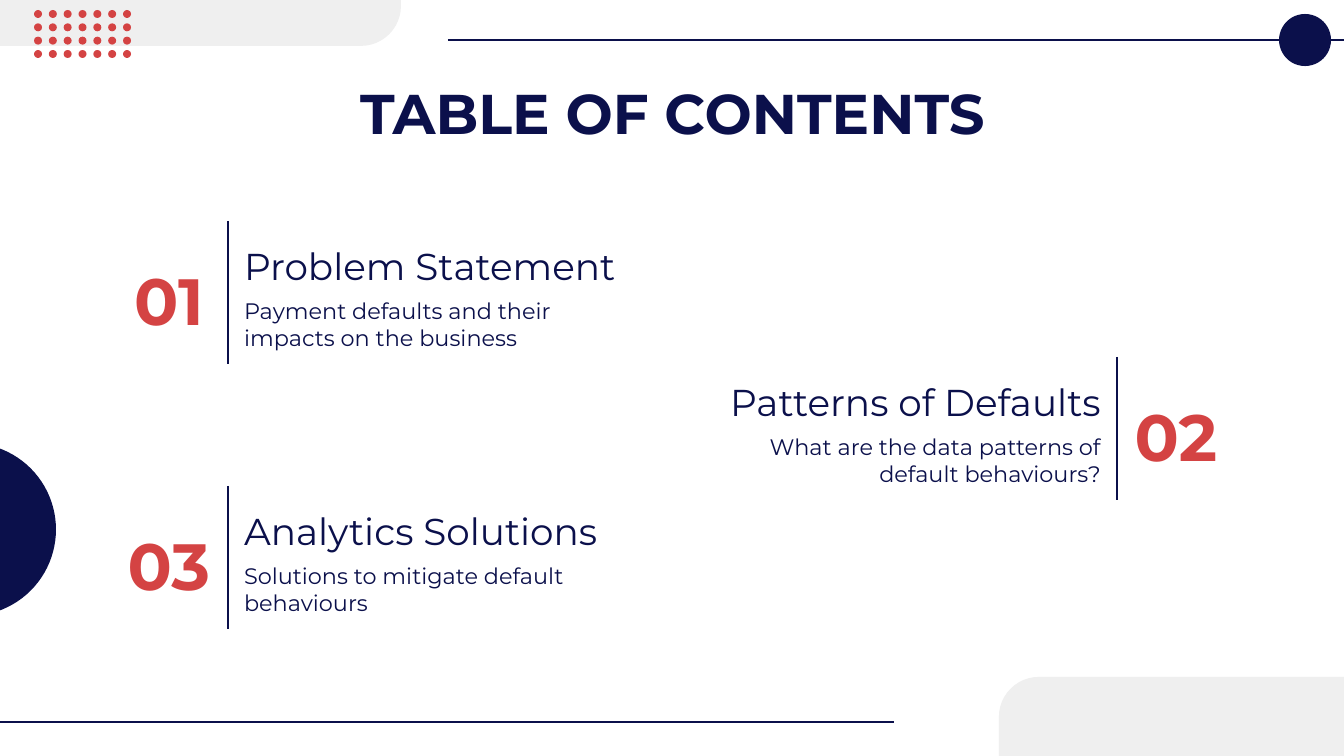
from lxml import etree
from pptx import Presentation
from pptx import util as u
from pptx.dml import color
from pptx.enum import shapes, text
from pptx.oxml import ns

PX = 9144000 / 1344
WIDTH, HEIGHT = 1344, 756
INSET = 13
COLORS = {"navy": "0B104B", "red": "D44343", "gray": "EFEFEF"}
LEFT, CENTER, RIGHT = text.PP_ALIGN.LEFT, text.PP_ALIGN.CENTER, text.PP_ALIGN.RIGHT
STYLES = {
    "title": {
        "color": "navy",
        "font": {"size": u.Pt(30), "bold": True},
        "frame": {"vertical_anchor": text.MSO_ANCHOR.TOP},
        "paragraph": {},
    },
    "number": {
        "color": "red",
        "font": {"size": u.Pt(35), "bold": True},
        "frame": {"vertical_anchor": text.MSO_ANCHOR.MIDDLE},
        "paragraph": {"line_spacing": 1.15},
    },
    "heading": {
        "color": "navy",
        "font": {"size": u.Pt(20)},
        "frame": {"vertical_anchor": text.MSO_ANCHOR.BOTTOM},
        "paragraph": {},
    },
    "body": {
        "color": "navy",
        "font": {"size": u.Pt(12)},
        "frame": {"vertical_anchor": text.MSO_ANCHOR.TOP},
        "paragraph": {},
    },
}
ENTRIES = [
    ("01", "Problem Statement", "Payment defaults and their impacts on the business",
     (106, 221, 556, 143), False),
    ("02", "Patterns of Defaults", "What are the data patterns of default behaviours?",
     (683, 357, 556, 143), True),
    ("03", "Analytics Solutions", "Solutions to mitigate default behaviours",
     (106, 486, 556, 143), False),
]


def emu(*lengths):
    return [u.Emu(round(length * PX)) for length in lengths]


def rgb(name):
    return color.RGBColor.from_string(COLORS[name])


def apply(target, values):
    for name, value in values.items():
        setattr(target, name, value)


def add_filled(slide, kind, box, fill, adjustments=(), flip=None):
    shape = slide.shapes.add_shape(kind, *emu(*box))
    shape.shadow.inherit = False
    shape.fill.solid()
    shape.fill.fore_color.rgb = rgb(fill)
    shape.line.fill.background()
    for index, value in enumerate(adjustments):
        shape.adjustments[index] = value
    if flip:
        shape._element.spPr.find(ns.qn("a:xfrm")).set(flip, "1")


def add_line(slide, start, end):
    line = slide.shapes.add_connector(
        shapes.MSO_CONNECTOR.STRAIGHT, *emu(*start, *end))
    line.line.color.rgb = rgb("navy")
    line.line.width = u.Pt(0.75)
    etree.SubElement(line._element.spPr, ns.qn("a:effectLst"))


def add_text(slide, words, box, style_name, alignment):
    style = STYLES[style_name]
    frame = slide.shapes.add_textbox(*emu(*box)).text_frame
    margin = emu(INSET)[0]
    sides = ("left", "top", "right", "bottom")
    apply(frame, {"word_wrap": True, **style["frame"],
                  **{f"margin_{side}": margin for side in sides}})
    paragraph = frame.paragraphs[0]
    apply(paragraph, {"alignment": alignment, **style["paragraph"]})
    run = paragraph.add_run()
    run.text = words
    apply(run.font, {"name": "Montserrat", **style["font"]})
    run.font.color.rgb = rgb(style["color"])


def add_dots(slide, box, columns=7, rows=4, size=8):
    left, top, width, height = box
    step_x = (width - size) / (columns - 1)
    step_y = (height - size) / (rows - 1)
    for row in range(rows):
        for column in range(columns):
            dot = (left + column * step_x, top + row * step_y, size, size)
            add_filled(slide, shapes.MSO_SHAPE.OVAL, dot, "red")


def add_decoration(slide, box):
    left, top, width, height = box
    right, bottom = left + width, top + height
    kinds = shapes.MSO_SHAPE
    add_line(slide, (left, bottom - 34), (left + 894, bottom - 34))
    add_line(slide, (left + 448, top + 40), (right, top + 40))
    add_filled(slide, kinds.OVAL, (right - 65, top + 14, 52, 52), "navy")
    add_filled(slide, kinds.PIE, (left - 117, top + 443, 173, 173), "navy", (162, 54))
    add_filled(slide, kinds.ROUND_1_RECTANGLE, (left - 11, top - 34, 412, 80),
               "gray", (0.5,), "flipV")
    add_filled(slide, kinds.ROUND_1_RECTANGLE, (right - 345, bottom - 79, 345, 80),
               "gray", (0.5,), "flipH")
    add_dots(slide, (left + 34, top + 10, 97, 48))


def add_entry(slide, number, heading, body, box, mirrored):
    left, top, width, height = box
    alignment = RIGHT if mirrored else LEFT

    def place(offset, part_top, part_width, part_height):
        x = width - offset - part_width if mirrored else offset
        return left + x, top + part_top, part_width, part_height

    add_text(slide, number, place(0, 6, 126, 132), "number", CENTER)
    add_text(slide, heading, place(125, 5, width - 125, 75), "heading", alignment)
    add_text(slide, body, place(125, 63, 413, 75), "body", alignment)
    x = place(122, 0, 0, height)[0]
    add_line(slide, (x, top), (x, top + height))


def main():
    presentation = Presentation()
    presentation.slide_width, presentation.slide_height = emu(WIDTH, HEIGHT)
    slide = presentation.slides.add_slide(presentation.slide_layouts[6])
    add_decoration(slide, (0, 0, WIDTH, HEIGHT))
    add_text(slide, "TABLE OF CONTENTS", (106, 66, 1133, 84), "title", CENTER)
    for entry in ENTRIES:
        add_entry(slide, *entry)
    presentation.save("out.pptx")


if __name__ == "__main__":
    main()
